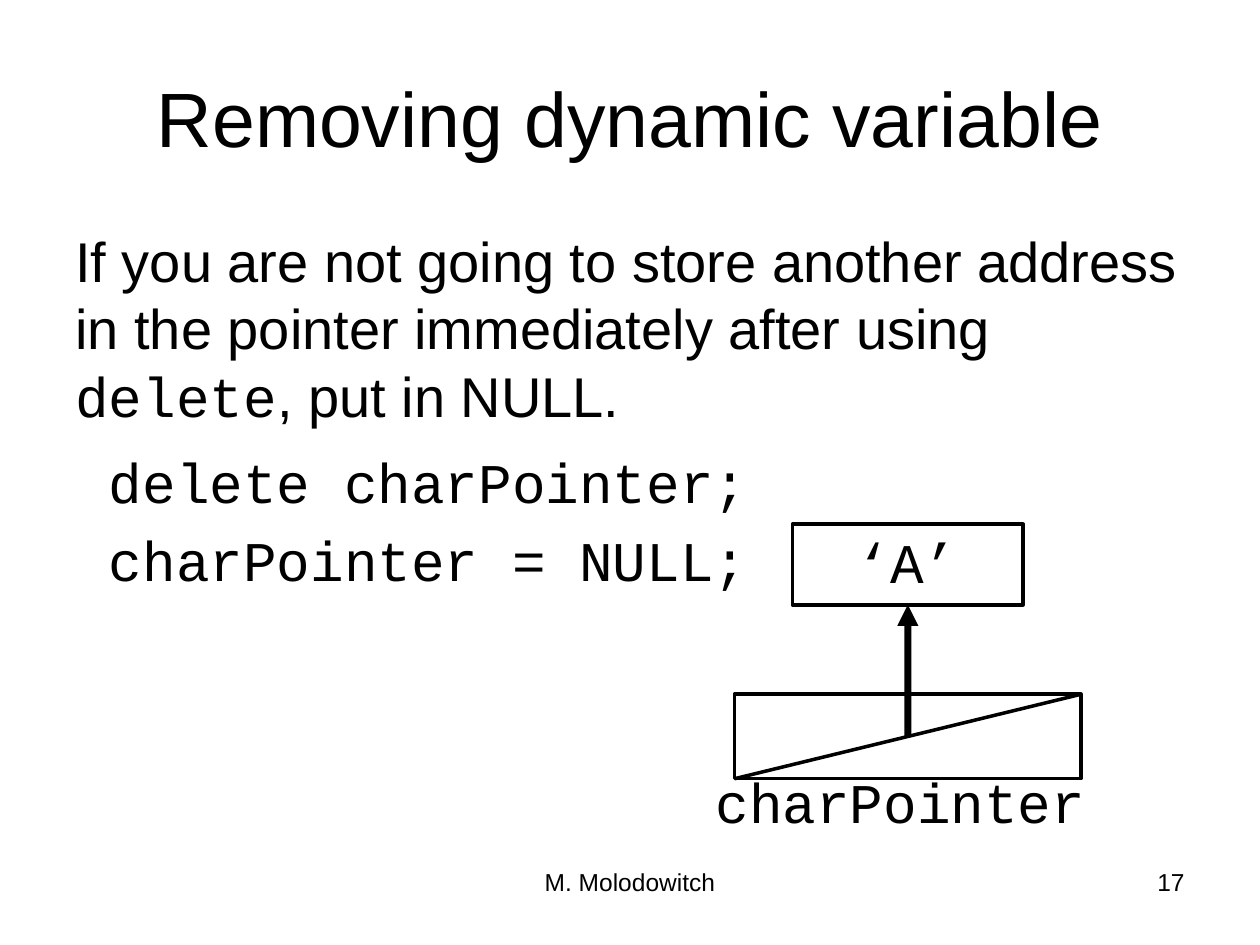
import pptx
import pptx.dml.color
import pptx.enum.shapes
import pptx.enum.text
import pptx.oxml
import pptx.oxml.ns
import pptx.util
from collections import namedtuple

COLOURS = {"ink": "000000", "paper": "FFFFFF"}
SANS, MONO = "Arial", "Courier New"
ALIGN = pptx.enum.text.PP_ALIGN
ANCHOR = pptx.enum.text.MSO_ANCHOR
Box = namedtuple("Box", "left top width height")


def colour(name):
    """Return a named colour of the palette."""
    return pptx.dml.color.RGBColor.from_string(COLOURS[name])


def part_of(box, left, top, width, height):
    """Return the part of a box given in percent of its size."""
    return Box(
        round(box.left + box.width * left / 100),
        round(box.top + box.height * top / 100),
        round(box.width * width / 100),
        round(box.height * height / 100),
    )


def write(paragraph, text, size=32, font=SANS, align=ALIGN.LEFT, before=0, leading=None, indent=0):
    """Add a formatted run to a paragraph and format the paragraph."""
    run = paragraph.add_run()
    run.text = text
    run.font.size = pptx.util.Pt(size)
    run.font.name = font
    run.font.color.rgb = colour("ink")
    paragraph.alignment = align
    paragraph.space_before = pptx.util.Pt(before)
    if leading:
        paragraph.line_spacing = pptx.util.Pt(leading)
    if indent:
        paragraph._p.get_or_add_pPr().set("marL", str(pptx.util.Pt(indent)))


def add_text_frame(slide, box):
    """Add a wrapping text box and return its frame."""
    frame = slide.shapes.add_textbox(*box).text_frame
    frame.word_wrap = True
    return frame


def add_cell(slide, box):
    """Add an outlined memory cell."""
    cell = slide.shapes.add_shape(pptx.enum.shapes.MSO_SHAPE.RECTANGLE, *box)
    cell.shadow.inherit = False
    cell.fill.background()
    cell.line.color.rgb = colour("ink")
    cell.line.width = pptx.util.Pt(2)
    return cell


def add_line(slide, start, end, width, arrow=False):
    """Add a straight line, with an arrowhead at its end if asked."""
    line = slide.shapes.add_connector(pptx.enum.shapes.MSO_CONNECTOR.STRAIGHT, *start, *end)
    line.line.color.rgb = colour("ink")
    line.line.width = pptx.util.Pt(width)
    properties = line._element.spPr
    if arrow:
        head = pptx.oxml.parse_xml(f'<a:tailEnd {pptx.oxml.ns.nsdecls("a")} type="triangle"/>')
        line.line._get_or_add_ln().append(head)
    properties.append(pptx.oxml.parse_xml(f'<a:effectLst {pptx.oxml.ns.nsdecls("a")}/>'))
    return line


def place_title(slide, box):
    """Move the title placeholder and write the heading."""
    title = slide.shapes.title
    title.left, title.top, title.width, title.height = box
    title.text_frame.vertical_anchor = ANCHOR.MIDDLE
    write(title.text_frame.paragraphs[0], "Removing dynamic variable", size=44, align=ALIGN.CENTER)


def place_advice(slide, box):
    """Write the advice and its two lines of code."""
    frame = add_text_frame(slide, box)
    advice = frame.paragraphs[0]
    for text, font in (
        ("If you are not going to store another address in the pointer immediately after using ", SANS),
        ("delete", MONO),
        (", put in NULL.", SANS),
    ):
        write(advice, text, font=font, before=1, leading=38.4)
    for code, before in (("delete charPointer;", 11), ("charPointer = NULL;", 6.4)):
        write(frame.add_paragraph(), code, font=MONO, before=before, leading=38.4, indent=19.2)


def place_footer(slide, box):
    """Write the author and the slide number."""
    author = add_text_frame(slide, part_of(box, 32.4, 0, 35.2, 100))
    write(author.paragraphs[0], "M. Molodowitch", size=14, align=ALIGN.CENTER)
    number = add_text_frame(slide, part_of(box, 74.1, 0, 25.9, 100))
    write(number.paragraphs[0], "17", size=14, align=ALIGN.RIGHT)


def place_memory_diagram(slide, box):
    """Draw the pointer set to null and the value it pointed to."""
    value = add_cell(slide, part_of(box, 21.85, 0.79, 56.31, 25.2))
    pointer_box = part_of(box, 7.69, 53.94, 84.62, 26.38)
    add_cell(slide, pointer_box)
    for text, area in (
        ("‘A’", part_of(box, 34.46, 0, 42.77, 25.2)),
        ("charPointer", part_of(box, 0, 74.8, 100, 25.2)),
    ):
        write(add_text_frame(slide, area).paragraphs[0], text, font=MONO, before=6.4)
    left, top, width, height = pointer_box
    centre = (left + width // 2, top + height // 2)
    arrow = add_line(slide, centre, (centre[0], value.top + value.height), 4, arrow=True)
    arrow.end_connect(value, 2)
    add_line(slide, (left, top + height), (left + width, top), 2)


def main():
    """Build and save the slide."""
    deck = pptx.Presentation()
    deck.slide_width, deck.slide_height = pptx.util.Inches(10), pptx.util.Inches(7.5)
    slide = deck.slides.add_slide(deck.slide_layouts.get_by_name("Title Only"))
    slide.background.fill.solid()
    slide.background.fill.fore_color.rgb = colour("paper")
    page = Box(0, 0, deck.slide_width, deck.slide_height)
    place_title(slide, part_of(page, 5, 4, 90, 16.67))
    place_advice(slide, part_of(page, 5, 23.33, 90, 66))
    place_footer(slide, part_of(page, 5, 91.07, 90, 6.93))
    place_memory_diagram(slide, part_of(page, 55.8, 55.2, 32.5, 33.87))
    deck.save("out.pptx")


if __name__ == "__main__":
    main()
